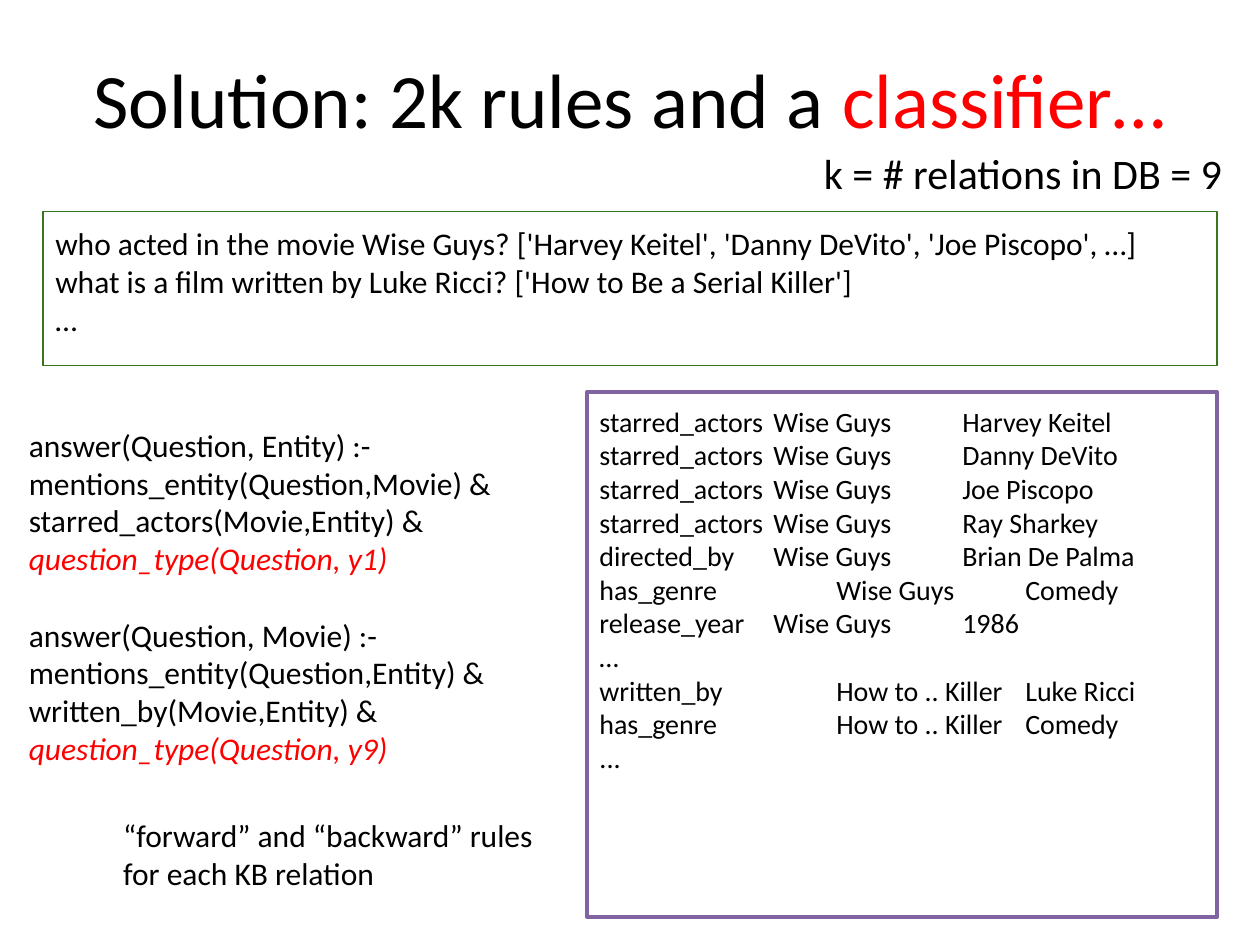
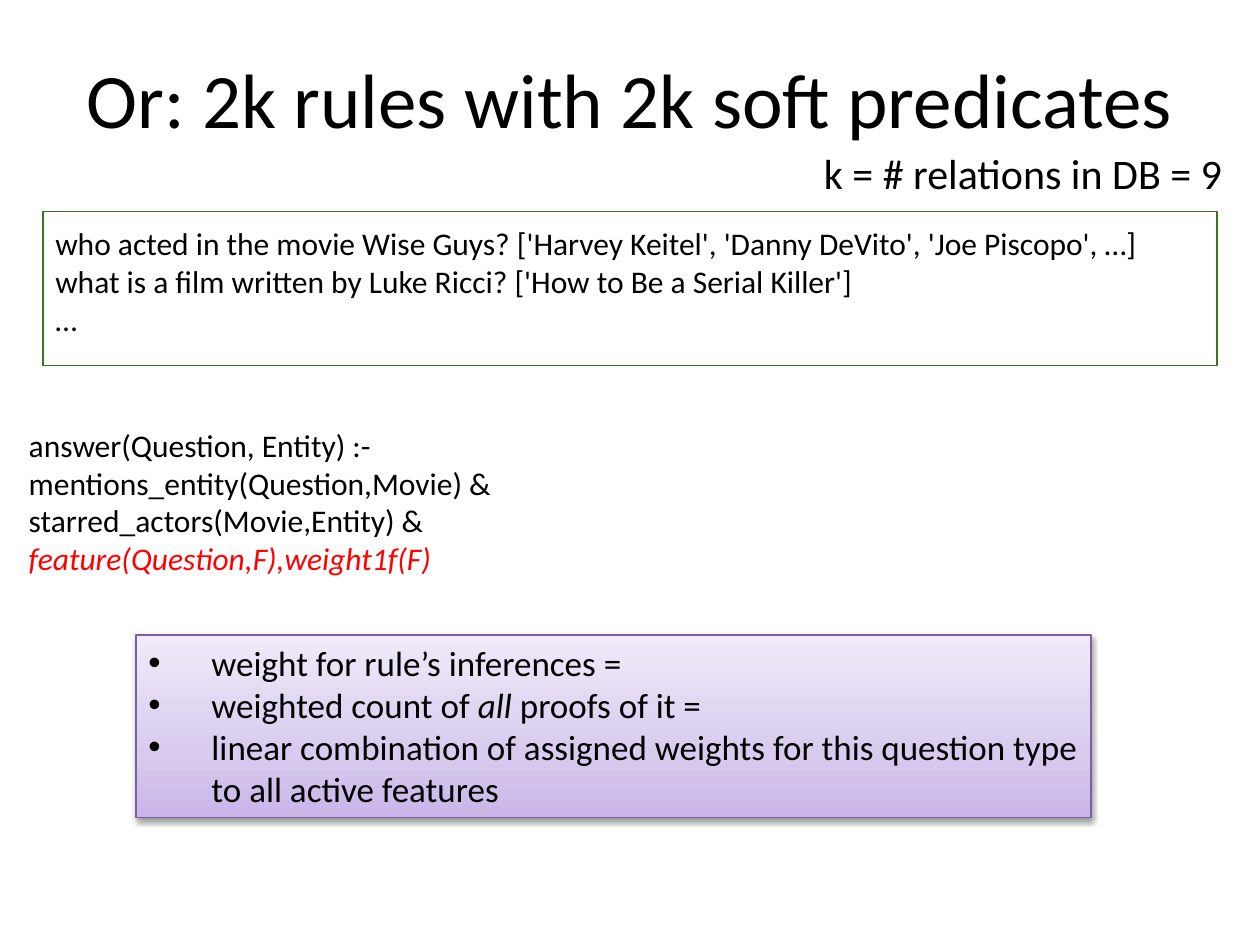
from copy import deepcopy

from lxml.etree import SubElement as Sub
from pptx import Presentation
from pptx.dml.color import RGBColor
from pptx.enum.shapes import MSO_SHAPE as Shape
from pptx.enum.text import MSO_ANCHOR as Anchor, MSO_AUTO_SIZE as Fit, PP_ALIGN as Align
from pptx.oxml.ns import qn
from pptx.util import Inches, Pt

# Style
FONT = "Calibri"
BLACK = RGBColor(0x00, 0x00, 0x00)
WHITE = RGBColor(0xFF, 0xFF, 0xFF)
RED = RGBColor(0xFF, 0x00, 0x00)
GREEN = RGBColor(0x38, 0x76, 0x1D)
PURPLE = RGBColor(0x80, 0x64, 0xA2)
VIOLET = RGBColor(0x7D, 0x60, 0xA0)
LILAC = ((0, RGBColor(0xC9, 0xB5, 0xE8)),
         (0.35, RGBColor(0xD8, 0xCB, 0xEE)),
         (1, RGBColor(0xF0, 0xEA, 0xF9)))
HOT = {"color": RED, "italic": True}
LEFT, WIDE = 0.34, 9.32

# Content shared by both slides
ASKED = ["who acted in the movie Wise Guys? ['Harvey Keitel', 'Danny DeVito', 'Joe Piscopo', …]",
         "what is a film written by Luke Ricci? ['How to Be a Serial Killer']",
         "…"]
COUNT = "k = # relations in DB = 9"
ACTED = ["answer(Question, Entity) :-",
         "mentions_entity(Question,Movie) & starred_actors(Movie,Entity) & "]

# Database facts
FACTS = [f"starred_actors\tWise Guys\t\t{name}" for name in
         ("Harvey Keitel", "Danny DeVito", "Joe Piscopo", "Ray Sharkey")] + [
    "directed_by\tWise Guys\t\tBrian De Palma",
    "has_genre\t\tWise Guys\t\tComedy",
    "release_year\tWise Guys\t\t1986",
    "…",
    "written_by\t\tHow to .. Killer\tLuke Ricci",
    "has_genre\t\tHow to .. Killer\tComedy",
    "..."]


def write(frame, lines, size=18, align=Align.LEFT, hang=0, bullet=None, gaps=None):
    """Fill a frame; a line is a string or a list of strings and (string, format) pairs."""
    for i, line in enumerate(lines):
        para = frame.paragraphs[0] if i == 0 else frame.add_paragraph()
        para.alignment = align
        para.space_before = Pt((gaps or {}).get(i, 0))
        if hang:
            props = para._p.get_or_add_pPr()
            props.set("marL", str(Inches(hang)))
            props.set("indent", str(-Inches(hang)))
            props.set("defTabSz", str(Inches(0.5)))
            if bullet:
                Sub(props, qn("a:buFont"), typeface="Arial")
                Sub(props, qn("a:buChar"), char=bullet)
        for part in [line] if isinstance(line, str) else line:
            text, form = (part, {}) if isinstance(part, str) else part
            run = para.add_run()
            run.text = text
            run.font.name, run.font.size = FONT, Pt(size)
            run.font.color.rgb = form.get("color", BLACK)
            run.font.italic = form.get("italic", False)


class Deck:
    def __init__(self):
        self.prs = Presentation()
        self.prs.slide_width, self.prs.slide_height = Inches(10), Inches(7.5)
        self.slide = None

    def frame(self, shape, inset=0.1, wrap=True):
        frame = shape.text_frame
        frame.word_wrap = wrap
        frame.auto_size = Fit.NONE if wrap else Fit.SHAPE_TO_FIT_TEXT
        frame.vertical_anchor = Anchor.TOP
        frame.margin_left = frame.margin_right = Inches(0.1)
        frame.margin_top = frame.margin_bottom = Inches(inset)
        return frame

    def page(self, title):
        """Start a slide with its title, relation count and questions."""
        self.slide = self.prs.slides.add_slide(self.prs.slide_layouts[5])
        head = self.slide.shapes.title
        head.left, head.top = Inches(LEFT), Inches(0.31)
        head.width, head.height = Inches(WIDE), Inches(0.84)
        write(self.frame(head), [title], size=44, align=Align.CENTER)
        self.box(LEFT, 1.68, WIDE, 1.22, ASKED, line=GREEN, hang=0.38)
        self.note(6.44, 1.12, 3.4, 0.5, [COUNT], inset=0.05, wrap=False, size=24)

    def note(self, x, y, w, h, lines, inset=0.1, wrap=True, **form):
        shape = self.slide.shapes.add_textbox(Inches(x), Inches(y), Inches(w), Inches(h))
        write(self.frame(shape, inset, wrap), lines, **form)

    def box(self, x, y, w, h, lines, line, fill=None, weight=0.75, inset=0.1, **form):
        shape = self.slide.shapes.add_shape(
            Shape.RECTANGLE, Inches(x), Inches(y), Inches(w), Inches(h))
        shape.shadow.inherit = False
        shape.line.color.rgb, shape.line.width = line, Pt(weight)
        if fill is None:
            shape.fill.background()
        else:
            shape.fill.solid()
            shape.fill.fore_color.rgb = fill
        write(self.frame(shape, inset), lines, **form)
        return shape

    def shade(self, shape, stops):
        """Fade a shape from bottom to top and let it cast a soft shadow."""
        shape.fill.gradient()
        shape.fill.gradient_angle = 90
        props = shape._element.spPr
        marks = props.find(qn("a:gradFill")).find(qn("a:gsLst"))
        while len(marks) < len(stops):
            marks.append(deepcopy(marks[0]))
        for mark, (place, color) in zip(shape.fill.gradient_stops, stops):
            mark.position, mark.color.rgb = place, color
        cast = Sub(props.find(qn("a:effectLst")), qn("a:outerShdw"),
                   blurRad=str(Pt(3.1)), dist=str(Pt(1.6)), dir="5400000", rotWithShape="0")
        tint = Sub(cast, qn("a:srgbClr"), val=str(BLACK))
        Sub(tint, qn("a:alpha"), val="38000")


def main():
    deck = Deck()

    # Slide 1: rules with a classifier
    deck.page(["Solution: 2k rules and a ", ("classifier…", {"color": RED})])
    deck.box(4.66, 3.11, 5, 4.17, FACTS, line=PURPLE, fill=WHITE, weight=2, size=16, hang=0.38)
    deck.note(0.13, 3.28, 4.32, 4, [
        ACTED[0],
        [ACTED[1], ("question_type(Question, y1)", HOT)],
        "answer(Question, Movie) :-",
        ["mentions_entity(Question,Entity) & written_by(Movie,Entity) & ",
         ("question_type(Question, y9)", HOT)]], gaps={2: 22})
    deck.note(0.88, 6.43, 3.5, 0.71,
              ["“forward” and “backward” rules", "for each KB relation"],
              inset=0.05, wrap=False)

    # Slide 2: soft predicates
    deck.page("Or: 2k rules with 2k soft predicates")
    deck.note(0.13, 3.28, 4.3, 1.82,
              [ACTED[0], [ACTED[1], ("feature(Question,F),weight1f(F)", HOT)]])
    weights = deck.box(1.08, 5.04, 7.58, 1.45, [
        "weight for rule’s inferences =",
        ["weighted count of ", ("all", {"italic": True}), " proofs of it ="],
        "linear combination of assigned weights for this question type to all active features"],
        line=VIOLET, inset=0.05, size=20, hang=0.5, bullet="•")
    deck.shade(weights, LILAC)

    deck.prs.save("out.pptx")


if __name__ == "__main__":
    main()
